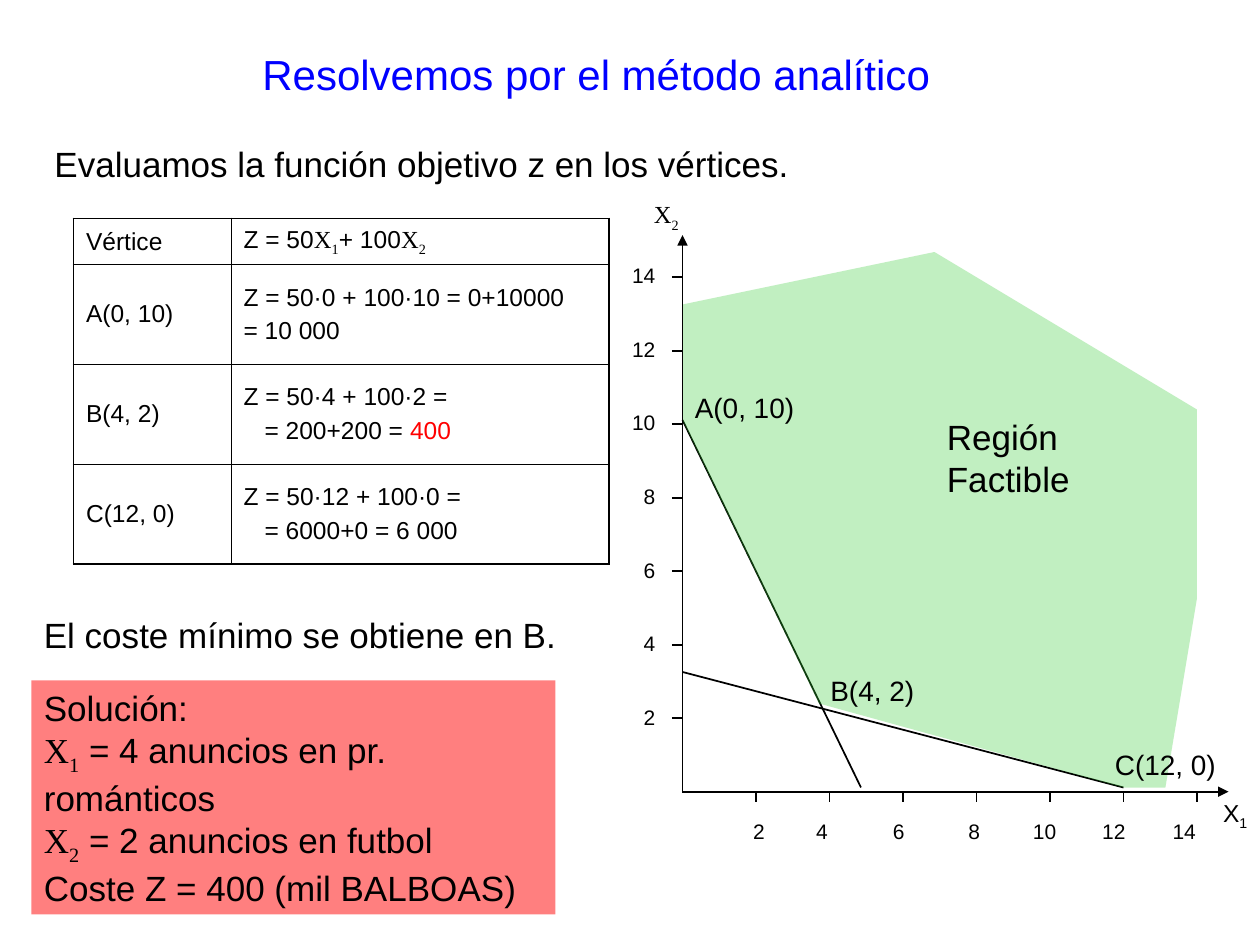
from pptx import Presentation
from pptx.dml.color import RGBColor
from pptx.enum.shapes import MSO_CONNECTOR as Conn, MSO_SHAPE as Shape
from pptx.enum.text import (MSO_ANCHOR as Anchor, MSO_AUTO_SIZE as Fit,
                            PP_ALIGN as Align)
from pptx.oxml.ns import qn
from pptx.util import Inches, Pt
from lxml.etree import SubElement as Sub

UNIT = Inches(1) // 12  # the slide is a grid of 120 columns by 90 rows
LEFT, BASE, STEP = 65, 75.4, 7  # axis origin and distance between ticks
BLACK, BLUE, RED, GREEN = "000000", "0000FF", "FF0000", "33CC33"
SANS, SERIF = "Arial", "Times New Roman"
CELLS = [
    ["Vértice", "Z = 50|X|1|+ 100|X|2"],
    ["A(0, 10)", "Z = 50·0 + 100·10 = 0+10000\n= 10 000"],
    ["B(4, 2)", "Z = 50·4 + 100·2 =\n\t= 200+200 = |400"],
    ["C(12, 0)", "Z = 50·12 + 100·0 =\n\t= 6000+0 = 6 000"],
]
ANSWER = ("Solución:\n|X|1| = 4 anuncios en pr. románticos\n"
          "|X|2| = 2 anuncios en futbol\nCoste Z = 400 (mil BALBOAS)")


def grid(*cells):
    return [round(cell * UNIT) for cell in cells]


def paint(color, tint):
    color.rgb = RGBColor.from_string(tint)


def tabs(par, stops, side):
    """Set tab stops, given in grid columns."""
    node = Sub(par._p.get_or_add_pPr(), qn("a:tabLst"))
    for stop in grid(*stops):
        Sub(node, qn("a:tab"), pos=str(stop), algn=side)


def write(frame, text, size, tint=BLACK, gap=0, serif=SERIF):
    """Fill a frame; bars part the runs, and a lone X, 1 or 2 is a variable."""
    for num, line in enumerate(text.split("\n")):
        par = frame.add_paragraph() if num else frame.paragraphs[0]
        if num and gap:
            par.space_before = Pt(gap)
        if line.startswith("\t") and "\t" not in line[1:]:
            tabs(par, [2], "l")
        for part in filter(None, line.split("|")):
            run = par.add_run()
            run.text = part
            var = "|" in line and part in ("X", "1", "2")
            run.font.name = serif if var else SANS
            run.font.size = Pt(size)
            paint(run.font.color, RED if part == "400" else tint)
            if var and part != "X":
                run.font._element.set("baseline", "-25000")


def label(shapes, box, text, size, wrap=False, **look):
    frame = shapes.add_textbox(*grid(*box)).text_frame
    frame.word_wrap = wrap
    frame.auto_size = Fit.SHAPE_TO_FIT_TEXT
    write(frame, text, size, **look)
    return frame


def line(shapes, start, end, arrow=False):
    item = shapes.add_connector(Conn.STRAIGHT, *grid(*start, *end))
    paint(item.line.color, BLACK)
    item.line.width = Pt(1)
    props = item._element.spPr
    if arrow:
        Sub(props.find(qn("a:ln")), qn("a:tailEnd"), type="triangle")
    Sub(props, qn("a:effectLst"))


def glaze(shape, tint, share):
    """Give a shape a see-through fill, no outline and no shadow."""
    shape.shadow.inherit = False
    shape.line.fill.background()
    shape.fill.solid()
    paint(shape.fill.fore_color, tint)
    color = shape._element.spPr.find(".//" + qn("a:srgbClr"))
    Sub(color, qn("a:alpha"), val=str(share * 1000))


def region(shapes):
    line(shapes, (LEFT, 40), (82, 75))
    line(shapes, (LEFT, 64), (107, 75))
    form = shapes.build_freeform(107, 75, scale=UNIT)
    form.add_line_segments([(78, 67), (LEFT, 40), (LEFT, 29), (89, 24),
                            (114, 39), (114, 57), (111, 75)])
    glaze(form.convert_to_shape(), GREEN, 30)
    label(shapes, (89, 39, 14.3, 9.2), "Región\nFactible", 20)
    label(shapes, (LEFT, 36.6, 12, 4.4), "A(0, 10)", 16)
    label(shapes, (77.9, 63.6, 10.5, 4.4), "B(4, 2)", 16)
    label(shapes, (105, 70.6, 12.1, 4.4), "C(12, 0)", 16)


def axes(shapes):
    line(shapes, (LEFT, BASE), (LEFT, 22.4), arrow=True)
    line(shapes, (LEFT, BASE), (117, BASE), arrow=True)
    for num in range(1, 8):
        col, row = LEFT + num * STEP, BASE - num * STEP
        line(shapes, (col, BASE), (col, BASE + 1))
        line(shapes, (LEFT - 1, row), (LEFT, row))
    label(shapes, (115.3, BASE, 4.7, 4.4), "X|1", 14, serif=SANS)
    label(shapes, (61.1, 18.4, 4.8, 7.6), "X|2", 14)

    marks = [str(num) for num in range(2, 15, 2)]
    frame = label(shapes, (70, 77.4, 46.2, 3.6),
                  "\t" + "\t".join(marks), 12, wrap=True)
    tabs(frame.paragraphs[0], [1.1, 7.1, 14.4, 21.6, 28.3, 34.9, 41.6], "ctr")
    frame = label(shapes, (59, 24.4, 4.6, 45.6),
                  "\n".join(reversed(marks)), 12, wrap=True, gap=27.7)
    for par in frame.paragraphs:
        par.alignment = Align.RIGHT


def border(cell, side, width):
    edge = Sub(cell._tc.get_or_add_tcPr(), qn("a:ln" + side),
               w=str(Pt(width)))
    Sub(Sub(edge, qn("a:solidFill")), qn("a:srgbClr"), val=BLACK)


def table(shapes):
    rows, cols = len(CELLS), len(CELLS[0])
    grid_tab = shapes.add_table(rows, cols, *grid(7, 20.8, 51, 32.9)).table
    grid_tab.first_row = grid_tab.horz_banding = False
    for col, width in zip(grid_tab.columns, grid(15, 36)):
        col.width = width
    for row, height in zip(grid_tab.rows, grid(4.4, 9.5, 9.5, 9.5)):
        row.height = height
    for row, texts in enumerate(CELLS):
        for col, text in enumerate(texts):
            cell = grid_tab.cell(row, col)
            outer = {"L": col == 0, "R": col == cols - 1,
                     "T": row == 0, "B": row == rows - 1}
            for side, edge in outer.items():
                border(cell, side, 1.08 if edge else 0.45)
            cell.fill.background()
            cell.vertical_anchor = Anchor.MIDDLE
            write(cell.text_frame, text, 14, gap=3.5)


def answer(shapes):
    box = shapes.add_shape(Shape.RECTANGLE, *grid(3, 64.8, 49.9, 22.3))
    glaze(box, RED, 50)
    frame = box.text_frame
    frame.word_wrap = True
    frame.vertical_anchor = Anchor.TOP
    write(frame, ANSWER, 20)
    for par in frame.paragraphs:
        par.alignment = Align.LEFT


def main():
    deck = Presentation()
    deck.slide_width, deck.slide_height = grid(120, 90)
    shapes = deck.slides.add_slide(deck.slide_layouts[6]).shapes
    region(shapes)
    label(shapes, (23.8, 4, 82.2, 6), "Resolvemos por el método analítico",
          24, wrap=True, tint=BLUE)
    axes(shapes.add_group_shape().shapes)
    table(shapes)
    label(shapes, (3, 57.8, 55, 5.3), "El coste mínimo se obtiene en B.",
          20, wrap=True)
    answer(shapes)
    label(shapes, (4, 13, 76, 5.3),
          "Evaluamos la función objetivo z en los vértices.", 20, wrap=True)
    deck.save("out.pptx")


if __name__ == "__main__":
    main()
